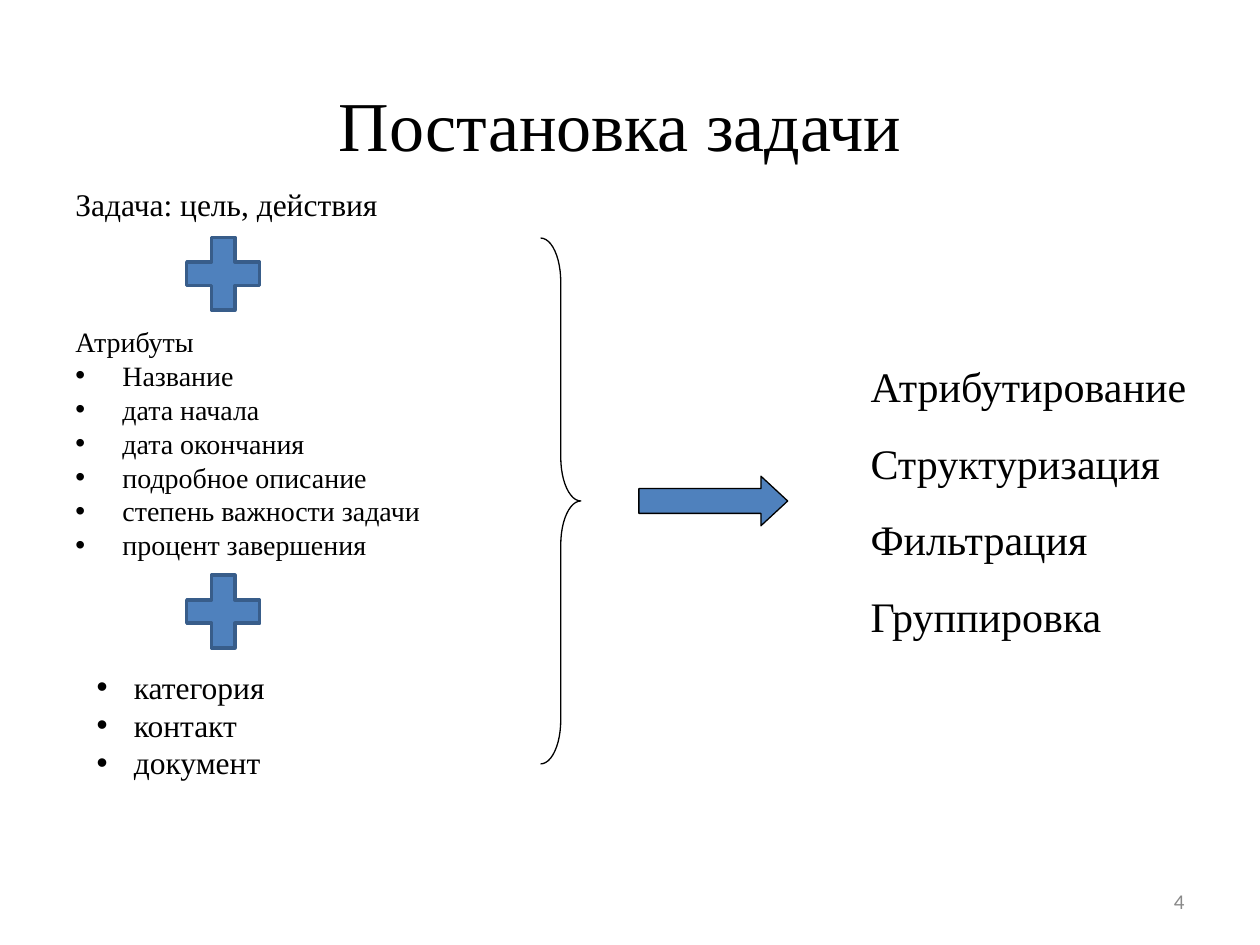
import pptx
import pptx.util
import pptx.dml.color
import pptx.enum.shapes
import pptx.enum.text
import pptx.oxml.ns
from dataclasses import dataclass
from lxml import etree
from pptx.util import Cm, Pt

ALIGN = pptx.enum.text.PP_ALIGN
ANCHOR = pptx.enum.text.MSO_ANCHOR
SHAPE = pptx.enum.shapes.MSO_SHAPE


@dataclass(frozen=True)
class Theme:
    serif: str = "Times New Roman"
    sans: str = "Calibri"
    ink: str = "000000"
    grey: str = "898989"
    blue: str = "4F81BD"
    navy: str = "385D8A"
    title: int = 40
    result: int = 24
    item: int = 18
    attribute: int = 16
    number: int = 12


T = Theme()


def rgb(value):
    return pptx.dml.color.RGBColor.from_string(value)


def set_attrs(obj, values):
    for name, value in values.items():
        setattr(obj, name, value)


def add_bullet(p, indent):
    pPr = p._p.get_or_add_pPr()
    pPr.set("marL", str(indent))
    pPr.set("indent", str(-indent))
    for tag, attr, value in (("a:buFont", "typeface", "Arial"), ("a:buChar", "char", "•")):
        etree.SubElement(pPr, pptx.oxml.ns.qn(tag)).set(attr, value)


def write_lines(tf, lines, size, font=T.serif, color=T.ink, bullets_from=None,
                indent=0, gap=0, **fmt):
    """Fill a text frame; lines from index bullets_from on get a bullet."""
    for i, line in enumerate(lines):
        p = tf.paragraphs[0] if i == 0 else tf.add_paragraph()
        if bullets_from is not None and i >= bullets_from:
            add_bullet(p, indent)
        r = p.add_run()
        r.text = line
        set_attrs(p, {"space_before": Pt(gap if i else 0), **fmt})
        set_attrs(r.font, {"size": Pt(size), "name": font})
        r.font.color.rgb = rgb(color)


def add_text(s, box, lines, size, anchor=ANCHOR.TOP, **fmt):
    tf = s.shapes.add_textbox(*map(Cm, box)).text_frame
    set_attrs(tf, {"word_wrap": True, "vertical_anchor": anchor})
    write_lines(tf, lines, size, **fmt)


def add_figure(s, kind, box, fill=None, line=T.ink, width=0.75, adjust=()):
    sp = s.shapes.add_shape(kind, *map(Cm, box))
    sp.shadow.inherit = False
    if fill:
        sp.fill.solid()
        sp.fill.fore_color.rgb = rgb(fill)
    else:
        sp.fill.background()
    sp.line.color.rgb = rgb(line)
    sp.line.width = Pt(width)
    for i, value in enumerate(adjust):
        sp.adjustments[i] = value


def add_title(s, text):
    sp = s.shapes.title
    set_attrs(sp, {"left": Cm(1.07), "top": Cm(0.76), "width": Cm(22.86), "height": Cm(3.45)})
    sp.text_frame.vertical_anchor = ANCHOR.MIDDLE
    write_lines(sp.text_frame, [text], T.title, alignment=ALIGN.CENTER)


def main():
    prs = pptx.Presentation()
    set_attrs(prs, {"slide_width": Cm(25.4), "slide_height": Cm(19.05)})
    s = prs.slides.add_slide(prs.slide_layouts[5])
    add_title(s, "Постановка задачи")

    # Left column: task + attributes + links
    add_text(s, (1.27, 3.75, 9.5, 0.9), ["Задача: цель, действия"], T.item, line_spacing=0.8)
    add_text(s, (1.27, 6.55, 9.5, 5), [
        "Атрибуты", "Название", "дата начала", "дата окончания",
        "подробное описание", "степень важности задачи", "процент завершения",
    ], T.attribute, bullets_from=1, indent=Cm(0.95), gap=4, line_spacing=0.8)
    add_text(s, (1.7, 13.34, 6.8, 3.7), ["категория", "контакт", "документ"],
             T.item, bullets_from=0, indent=Cm(0.75))
    for top in (4.52, 11.33):
        add_figure(s, SHAPE.MATH_PLUS, (3.5, top, 2, 2), T.blue, T.navy, 2)

    # Brace and arrow lead to the results
    add_figure(s, SHAPE.RIGHT_BRACE, (10.9, 4.8, 0.81, 10.6), adjust=(1.09, 0.5))
    add_figure(s, SHAPE.RIGHT_ARROW, (12.88, 9.6, 3, 1), T.blue, adjust=(0.5, 0.54))
    add_text(s, (17.3, 7.14, 7.2, 5.9),
             ["Атрибутирование", "Структуризация", "Фильтрация", "Группировка"],
             T.result, gap=15)

    # Slide number
    add_text(s, (18.2, 17.65, 5.93, 1.02), ["4"], T.number, ANCHOR.MIDDLE,
             font=T.sans, color=T.grey, alignment=ALIGN.RIGHT)
    prs.save("out.pptx")


if __name__ == "__main__":
    main()
